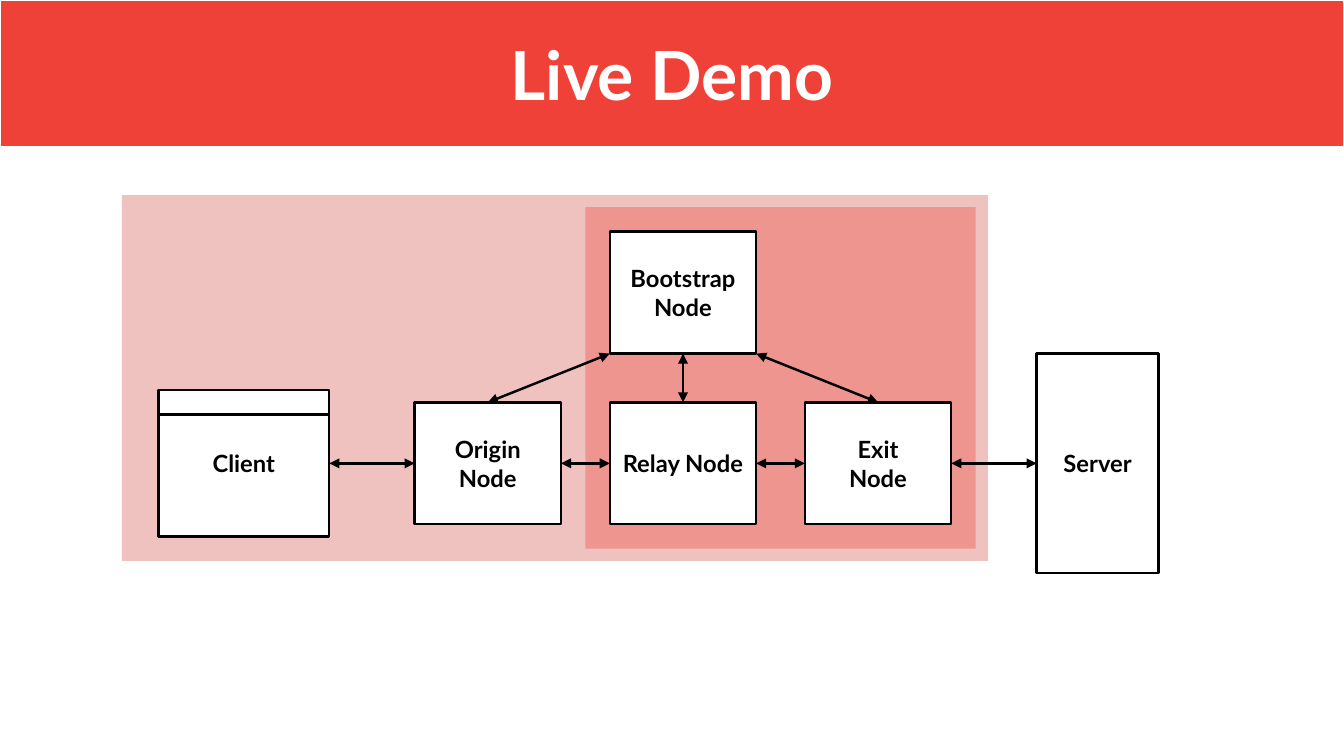
import dataclasses

import pptx
import pptx.dml.color
import pptx.enum.shapes
import pptx.enum.text
import pptx.oxml
import pptx.oxml.ns
import pptx.util

EMU_PER_PX = 9144
TOP, LEFT, BOTTOM, RIGHT = range(4)


@dataclasses.dataclass(frozen=True)
class Theme:
    font: str = "Lato"
    banner: str = "EF4138"
    outer_zone: str = "EFC2BF"
    inner_zone: str = "EF958F"
    paper: str = "FFFFFF"
    ink: str = "000000"
    title_size: int = 40
    label_size: int = 14
    stroke: float = 1.45


THEME = Theme()


def px(length):
    return pptx.util.Emu(length * EMU_PER_PX)


def rgb(value):
    return pptx.dml.color.RGBColor.from_string(value)


def apply_format(target, values):
    for name, value in values.items():
        setattr(target, name, value)


def set_line(line, color, width):
    line.color.rgb = rgb(color)
    line.width = pptx.util.Pt(width)


def add_zone(shapes, box, color):
    zone = shapes.add_shape(
        pptx.enum.shapes.MSO_SHAPE.RECTANGLE, *map(px, box))
    zone.shadow.inherit = False
    zone.fill.solid()
    zone.fill.fore_color.rgb = rgb(color)
    zone.line.fill.background()
    return zone


def add_label(shape, text, size, color):
    frame = shape.text_frame
    apply_format(frame, {
        "text": text,
        "word_wrap": True,
        "vertical_anchor": pptx.enum.text.MSO_ANCHOR.MIDDLE,
        "margin_left": px(10),
        "margin_right": px(10),
        "margin_top": px(5),
        "margin_bottom": px(5),
    })
    for paragraph in frame.paragraphs:
        paragraph.alignment = pptx.enum.text.PP_ALIGN.CENTER
        for run in paragraph.runs:
            apply_format(run.font, {
                "name": THEME.font,
                "size": pptx.util.Pt(size),
                "bold": True,
            })
            run.font.color.rgb = rgb(color)


def add_banner(shapes, box, text):
    banner = add_zone(shapes, box, THEME.banner)
    set_line(banner.line, THEME.paper, 0)
    add_label(banner, text, THEME.title_size, THEME.paper)


def add_node(shapes, box, text):
    node = add_zone(shapes, box, THEME.paper)
    set_line(node.line, THEME.ink, THEME.stroke)
    add_label(node, text, THEME.label_size, THEME.ink)
    return node


def add_rule(shapes, begin, end):
    rule = shapes.add_connector(
        pptx.enum.shapes.MSO_CONNECTOR.STRAIGHT, *begin, *end)
    set_line(rule.line, THEME.ink, THEME.stroke)
    rule._element.spPr.append(pptx.oxml.parse_xml(
        f'<a:effectLst {pptx.oxml.ns.nsdecls("a")}/>'))
    return rule


def add_client(shapes, box, bar_height, text):
    left, top, width, _ = box
    window = shapes.add_group_shape()
    client = add_node(window.shapes, box, text)
    bar_y = px(top + bar_height)
    add_rule(window.shapes, (px(left), bar_y), (px(left + width), bar_y))
    return client


def add_arrow(shapes, source, source_side, target, target_side=None, corner=None):
    arrow = add_rule(shapes, (source.left, source.top), corner or (target.left, target.top))
    arrow.begin_connect(source, source_side)
    if target_side is not None:
        arrow.end_connect(target, target_side)
    for tag in ("headEnd", "tailEnd"):
        arrow.line._get_or_add_ln().append(pptx.oxml.parse_xml(
            f'<a:{tag} {pptx.oxml.ns.nsdecls("a")} type="triangle"/>'))


def main():
    deck = pptx.Presentation()
    deck.slide_width, deck.slide_height = px(1102), px(620)
    shapes = deck.slides.add_slide(deck.slide_layouts[6]).shapes

    add_zone(shapes, (100, 160, 710, 300), THEME.outer_zone)
    add_zone(shapes, (480, 170, 320, 280), THEME.inner_zone)
    add_banner(shapes, (0, 0, 1102, 120), "Live Demo")

    bootstrap = add_node(shapes, (500, 190, 120, 100), "Bootstrap Node")
    origin, relay, exit_node = [
        add_node(shapes, (340 + 160 * column, 330, 120, 100), text)
        for column, text in enumerate(("Origin Node", "Relay Node", "Exit\nNode"))
    ]
    client = add_client(shapes, (130, 320, 140, 120), 20, "Client")
    server = add_node(shapes, (850, 290, 100, 180), "Server")

    chain = [client, origin, relay, exit_node, server]
    for source, target in zip(chain, chain[1:]):
        add_arrow(shapes, source, RIGHT, target, LEFT)

    bottom = bootstrap.top + bootstrap.height
    add_arrow(shapes, origin, TOP, bootstrap, corner=(bootstrap.left, bottom))
    add_arrow(shapes, bootstrap, BOTTOM, relay, TOP)
    add_arrow(shapes, exit_node, TOP, bootstrap,
              corner=(bootstrap.left + bootstrap.width, bottom))

    deck.save("out.pptx")


if __name__ == "__main__":
    main()
